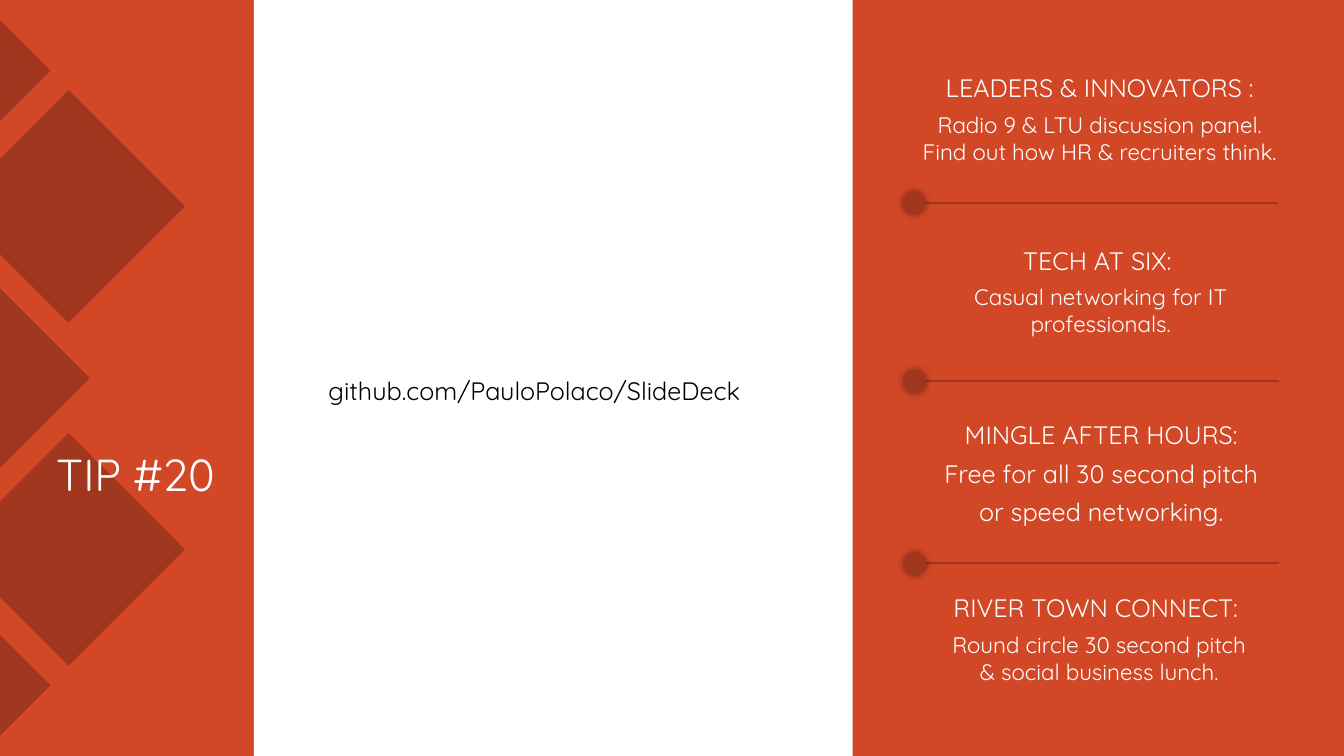
from lxml import etree
from pptx import Presentation
from pptx.dml.color import RGBColor
from pptx.enum.shapes import MSO_CONNECTOR as Connector, MSO_SHAPE as Preset
from pptx.enum.text import MSO_ANCHOR as Anchor, MSO_AUTO_SIZE as AutoSize, PP_ALIGN as Align
from pptx.oxml import parse_xml
from pptx.oxml.ns import nsdecls, qn
from pptx.util import Pt

ORANGE, BRICK, WHITE, BLACK = "D24726", "9F361D", "FFFFFF", "000000"
FONT = "Quicksand"
SOFT_SHADOW = (
    f'<a:outerShdw {nsdecls("a")} blurRad="63500" rotWithShape="0">'
    '<a:srgbClr val="000000"><a:alpha val="40000"/></a:srgbClr></a:outerShdw>'
)
MIDDLE = 270
DIAMONDS = [(0, -219.5, 36), (49, -122.5, 83), (0, 0, 64), (49, 122.5, 83), (0, 219.5, 36)]
GROUPS = [
    ((644.4, 48.24, 282.24, 74.16), "LEADERS & INNOVATORS :",
     ["Radio 9 & LTU discussion panel.", "Find out how HR & recruiters think."], {}),
    ((642.24, 171.36, 288, 74.16), "TECH AT SIX: ",
     ["Casual networking for IT professionals."], {}),
    ((639.36, 295.92, 294.48, 84.96), "MINGLE AFTER HOURS:",
     ["Free for all 30 second pitch", "or speed networking."],
     {"size": 18, "space_after": 6}),
    ((647.28, 419.76, 275.76, 74.16), "RIVER TOWN CONNECT: ",
     ["Round circle 30 second pitch", "& social business lunch."], {}),
]
DIVIDERS = [(644.4, 144.72), (645.12, 272.16), (645.12, 402.48)]


def color(value):
    """Turn a hex string into a colour."""
    return RGBColor.from_string(value)


def paint(shape, fill):
    """Give a shape a flat fill with no outline or shadow."""
    shape.fill.solid()
    shape.fill.fore_color.rgb = color(fill)
    shape.line.fill.background()
    shape.shadow.inherit = False


def write(paragraph, text, size, fill=WHITE, align=Align.CENTER, space_after=0, line_spacing=1.0):
    """Fill a paragraph with formatted text."""
    paragraph.text = text
    layout = {"alignment": align, "space_before": Pt(0),
              "space_after": Pt(space_after), "line_spacing": line_spacing}
    for name, value in layout.items():
        setattr(paragraph, name, value)
    for name, value in {"name": FONT, "size": Pt(size)}.items():
        setattr(paragraph.font, name, value)
    paragraph.font.color.rgb = color(fill)


def add_diamond(slide, x, y, radius):
    """Draw a diamond cut off at the left slide edge."""
    cut = radius - x
    corners = [(0, y - cut), (x, y - radius), (x + radius, y), (x, y + radius), (0, y + cut)]
    start, *others = [(Pt(left), Pt(top)) for left, top in corners]
    builder = slide.shapes.build_freeform(*start)
    builder.add_line_segments(others)
    paint(builder.convert_to_shape(), BRICK)


def add_text_box(slide, box, wrap=True):
    """Add an empty text box and return its text frame."""
    frame = slide.shapes.add_textbox(*map(Pt, box)).text_frame
    frame.word_wrap = wrap
    return frame


def add_group(slide, box, heading, lines, style):
    """Add a networking group's heading and description."""
    frame = add_text_box(slide, box)
    write(frame.paragraphs[0], heading, 18, space_after=6)
    for line in lines:
        write(frame.add_paragraph(), line, **{"size": 16, **style})


def add_divider(slide, left, middle):
    """Draw a line that starts from a softly shadowed dot."""
    line = slide.shapes.add_connector(
        Connector.STRAIGHT, Pt(left + 13.68), Pt(middle), Pt(left + 268.56), Pt(middle))
    line.line.color.rgb = color(BRICK)
    line.line.width = Pt(1.5)
    etree.SubElement(line._element.spPr, qn("a:effectLst"))
    dot = slide.shapes.add_shape(Preset.OVAL, Pt(left), Pt(middle - 7.92), Pt(16.56), Pt(16.56))
    paint(dot, BRICK)
    dot._element.spPr.find(qn("a:effectLst")).append(parse_xml(SOFT_SHADOW))


def add_title(slide, text):
    """Place the title in front of the diamonds."""
    title = slide.shapes.title
    box = {"left": 26.64, "top": 181.44, "width": 140.4, "height": 180}
    for name, value in box.items():
        setattr(title, name, Pt(value))
    frame = title.text_frame
    for name, value in {"vertical_anchor": Anchor.BOTTOM, "auto_size": AutoSize.NONE}.items():
        setattr(frame, name, value)
    write(frame.paragraphs[0], text, 32, line_spacing=0.9)
    title._element.getparent().append(title._element)


def main():
    """Build and save the slide."""
    presentation = Presentation()
    presentation.slide_width, presentation.slide_height = Pt(960), Pt(540)
    slide = presentation.slides.add_slide(presentation.slide_layouts[5])
    slide.background.fill.solid()
    slide.background.fill.fore_color.rgb = color(ORANGE)
    for x, offset, radius in DIAMONDS:
        add_diamond(slide, x, MIDDLE + offset, radius)
    panel = slide.shapes.add_shape(Preset.RECTANGLE, Pt(181.44), Pt(0), Pt(427.68), Pt(540))
    paint(panel, WHITE)
    add_title(slide, "TIP #20")
    for group in GROUPS:
        add_group(slide, *group)
    for divider in DIVIDERS:
        add_divider(slide, *divider)
    link = add_text_box(slide, (227.52, 264.24, 331.92, 28.8), wrap=False)
    write(link.paragraphs[0], "github.com/PauloPolaco/SlideDeck", 18, BLACK, Align.LEFT)
    presentation.save("out.pptx")


if __name__ == "__main__":
    main()
